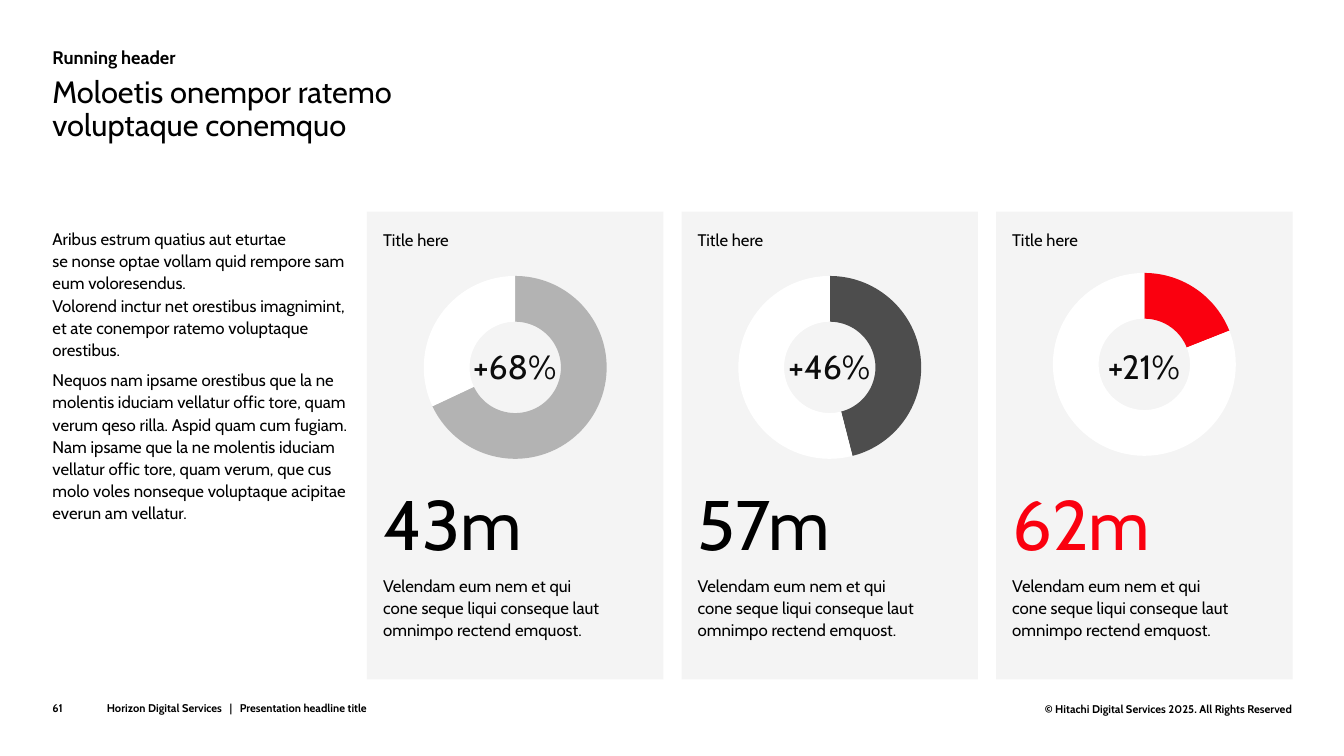
from pptx import Presentation
from pptx.chart.data import CategoryChartData
from pptx.dml.color import RGBColor
from pptx.enum.chart import XL_CHART_TYPE
from pptx.enum.shapes import MSO_SHAPE
from pptx.enum.text import MSO_ANCHOR, PP_ALIGN
from pptx.util import Inches, Pt

# Content
HEAD = "Running header"
TITLE = "Moloetis onempor ratemo\nvoluptaque conemquo"
BODY = [
    "Aribus estrum quatius aut eturtae\nse nonse optae vollam quid rempore sam "
    "eum voloresendus.\nVolorend inctur net orestibus imagnimint, et ate conempor "
    "ratemo voluptaque orestibus.",
    "Nequos nam ipsame orestibus que la ne molentis iduciam vellatur offic tore, "
    "quam verum qeso rilla. Aspid quam cum fugiam. Nam ipsame que la ne molentis "
    "iduciam vellatur offic tore, quam verum, que cus molo voles nonseque "
    "voluptaque acipitae everun am vellatur.",
]
CARD_HEAD = "Title here"
CARD_NOTE = "Velendam eum nem et qui\ncone seque liqui conseque laut omnimpo rectend emquost."
# Label, ring values, ring colour, ring top, figure, figure colour
CARDS = [
    ("+68%", (68, 32), "B3B3B3", 2.6, "43m", "000000"),
    ("+46%", (46, 54), "4D4D4D", 2.6, "57m", "000000"),
    ("+21%", (19, 81), "FA000F", 2.57, "62m", "FA000F"),
]
PAGE = "61"
FOOT = "Horizon Digital Services   |   Presentation headline title"
RIGHTS = "© Hitachi Digital Services 2025. All Rights Reserved"

# Formats
FONT = "Cabin"
SMALL = {"size": Pt(8), "bold": True}
TEXT = {"size": Pt(12)}
LEFT, FIRST, STEP, WIDE = 0.52, 3.64, 3.12, 2.94


def paint(hue):
    return RGBColor.from_string(hue)


def style(font, form, hue="000000"):
    font.name = FONT
    font.color.rgb = paint(hue)
    for key, value in form.items():
        setattr(font, key, value)


def write(frame, paras, inset=(0, 0, 0, 0), anchor=MSO_ANCHOR.TOP):
    """Each para: text, font format, colour, paragraph format."""
    frame.word_wrap = True
    frame.vertical_anchor = anchor
    for side, gap in zip(("left", "top", "right", "bottom"), inset):
        setattr(frame, "margin_" + side, Inches(gap))
    for i, (text, form, hue, lay) in enumerate(paras):
        para = frame.add_paragraph() if i else frame.paragraphs[0]
        para.text = text
        for key, value in lay.items():
            setattr(para, key, value)
        for run in para.runs:
            style(run.font, form, hue)


def label(at, paras, anchor=MSO_ANCHOR.TOP):
    box = slide.shapes.add_textbox(*map(Inches, at))
    write(box.text_frame, paras, anchor=anchor)


def ring(at, values, hue):
    data = CategoryChartData()
    data.categories = ["1", "2"]
    data.add_series("Series 1", values)
    chart = slide.shapes.add_chart(XL_CHART_TYPE.DOUGHNUT, *map(Inches, at), data).chart
    chart.has_legend = chart.has_title = False
    style(chart.font, {"size": Pt(10)})
    plot = chart.plots[0]
    plot.vary_by_categories = False
    for i, tone in enumerate((hue, "FFFFFF")):
        part = plot.series[0].points[i].format
        part.fill.solid()
        part.fill.fore_color.rgb = paint(tone)
        part.line.fill.background()
    for hole in chart._chartSpace.xpath(".//c:holeSize"):
        hole.set("val", "80")


deck = Presentation()
deck.slide_width, deck.slide_height = Inches(13.33), Inches(7.5)
slide = deck.slides.add_slide(deck.slide_layouts[6])

# Header and body
label((LEFT, 0.44, 5.02, 0.23),
      [(HEAD, {"size": Pt(13), "bold": True}, "000000", {"line_spacing": 1.1})])
label((LEFT, 0.76, 8.14, 0.7),
      [(TITLE, {"size": Pt(22)}, "000000", {"line_spacing": 0.9})])
label((LEFT, 2.25, 2.95, 4.48),
      [(text, TEXT, "000000", {"line_spacing": 1.1, "space_before": Pt(6 * i)})
       for i, text in enumerate(BODY)])

# Cards
for i, (share, values, hue, top, figure, tint) in enumerate(CARDS):
    x = FIRST + i * STEP
    card = slide.shapes.add_shape(MSO_SHAPE.RECTANGLE, *map(Inches, (x, 2.1, WIDE, 4.64)))
    card.shadow.inherit = False
    card.fill.solid()
    card.fill.fore_color.rgb = paint("F4F4F4")
    card.line.fill.background()
    rows = [(CARD_HEAD, TEXT, "000000", 0),
            (figure, {"size": Pt(50)}, tint, 159),
            (CARD_NOTE, TEXT, "000000", 6)]
    write(card.text_frame,
          [(text, form, tone, {"line_spacing": 1.1, "space_before": Pt(gap),
                               "alignment": PP_ALIGN.LEFT})
           for text, form, tone, gap in rows],
          (0.16, 0.16, 0.16, 0.12))
    ring((x, top, WIDE, 2.09), values, hue)
    label((x + 0.52, 3, 1.89, 1.26),
          [(share, {"size": Pt(24)}, "0C0C0C", {"alignment": PP_ALIGN.CENTER})],
          MSO_ANCHOR.MIDDLE)

# Footer
label((LEFT, 6.93, 0.47, 0.16), [(PAGE, SMALL, "000000", {})], MSO_ANCHOR.BOTTOM)
label((1.06, 6.93, 3.98, 0.16), [(FOOT, SMALL, "000000", {})], MSO_ANCHOR.BOTTOM)
label((9.65, 6.97, 3.17, 0.14),
      [(RIGHTS, SMALL, "000000", {"alignment": PP_ALIGN.RIGHT})])

deck.save("out.pptx")
